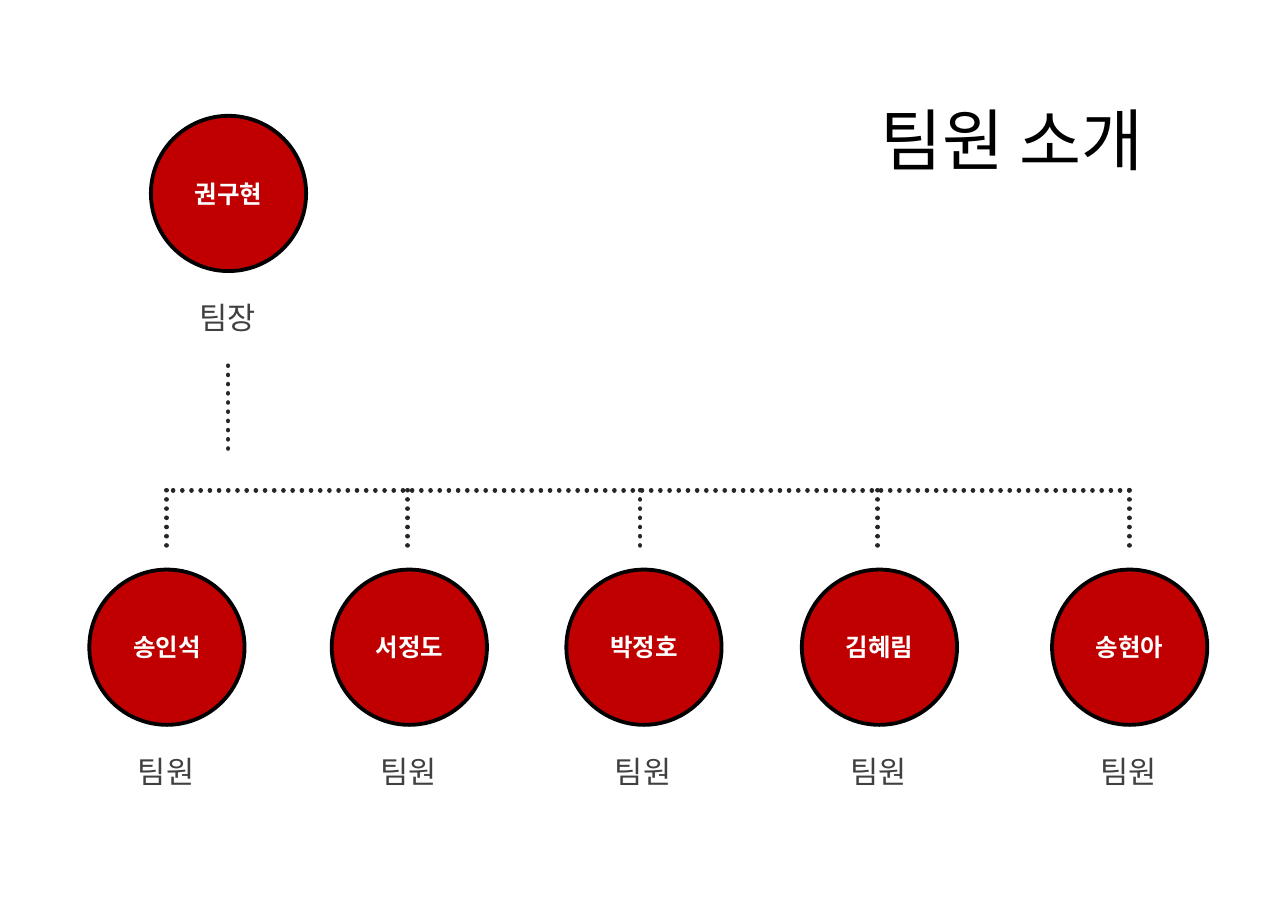
from lxml import etree
from pptx import Presentation
from pptx.dml.color import RGBColor
from pptx.enum.dml import MSO_LINE
from pptx.enum.shapes import MSO_CONNECTOR, MSO_SHAPE
from pptx.enum.text import MSO_ANCHOR, PP_ALIGN
from pptx.oxml.ns import qn
from pptx.util import Cm, Pt

FONT = "Noto Sans CJK KR"
CENTER = PP_ALIGN.CENTER
MIDDLE = MSO_ANCHOR.MIDDLE
DOTS = MSO_LINE.ROUND_DOT
STRAIGHT = MSO_CONNECTOR.STRAIGHT
OVAL = MSO_SHAPE.OVAL


def color(code):
    return RGBColor.from_string(code)


def write(shape, text, size, code, bold=False):
    frame = shape.text_frame
    frame.text = text
    frame.vertical_anchor = MIDDLE
    para = frame.paragraphs[0]
    para.alignment = CENTER
    font = para.runs[0].font
    font.name = FONT
    font.size = Pt(size)
    font.bold = bold
    font.color.rgb = color(code)
    # Hangul takes the East Asian typeface
    props = para.runs[0]._r.get_or_add_rPr()
    etree.SubElement(props, qn("a:ea"), typeface=FONT)


deck = Presentation()
deck.slide_width, deck.slide_height = Cm(29.7), Cm(21)
slide = deck.slides.add_slide(deck.slide_layouts[6])

# Title
title = slide.shapes.add_textbox(Cm(19.35), Cm(2.13), Cm(7.98), Cm(2.13))
title.text_frame.word_wrap = True
write(title, "팀원 소개", 44, "000000")

# People: name, role, left and top of the circle
people = [
    ("권구현", "팀장", 3.48, 2.67),
    ("송인석", "팀원", 2.06, 13.13),
    ("서정도", "팀원", 7.65, 13.13),
    ("박정호", "팀원", 13.06, 13.13),
    ("김혜림", "팀원", 18.49, 13.13),
    ("송현아", "팀원", 24.26, 13.13),
]
SIZE = 3.58
WIDTH = 1.9
for name, role, left, top in people:
    group = slide.shapes.add_group_shape()
    label = group.shapes.add_textbox(
        Cm(left + (SIZE - WIDTH) / 2 - 0.02), Cm(top + 4.09), Cm(WIDTH), Cm(1.12))
    label.text_frame.word_wrap = False
    write(label, role, 20, "404040")

    disc = group.shapes.add_shape(OVAL, Cm(left), Cm(top), Cm(SIZE), Cm(SIZE))
    disc.shadow.inherit = False
    disc.fill.solid()
    disc.fill.fore_color.rgb = color("C00000")
    disc.line.color.rgb = color("000000")
    disc.line.width = Pt(2.5)
    write(disc, name, 16, "FFFFFF", True)

# Dotted lines: leader stem, crossbar, member stems
BAR = 11.3
stems = [3.84, 9.4, 14.76, 20.24, 26.04]
lines = [(5.26, 8.43, 5.26, 10.49), (stems[-1], BAR, stems[0], BAR)]
lines += [(x, BAR, x, 12.75) for x in stems]
for ends in lines:
    link = slide.shapes.add_connector(STRAIGHT, *[Cm(v) for v in ends])
    link.line.color.rgb = color("262626")
    link.line.width = Pt(3)
    link.line.dash_style = DOTS
    link.line._get_or_add_ln().set("cap", "rnd")
    etree.SubElement(link._element.spPr, qn("a:effectLst"))

deck.save("out.pptx")
